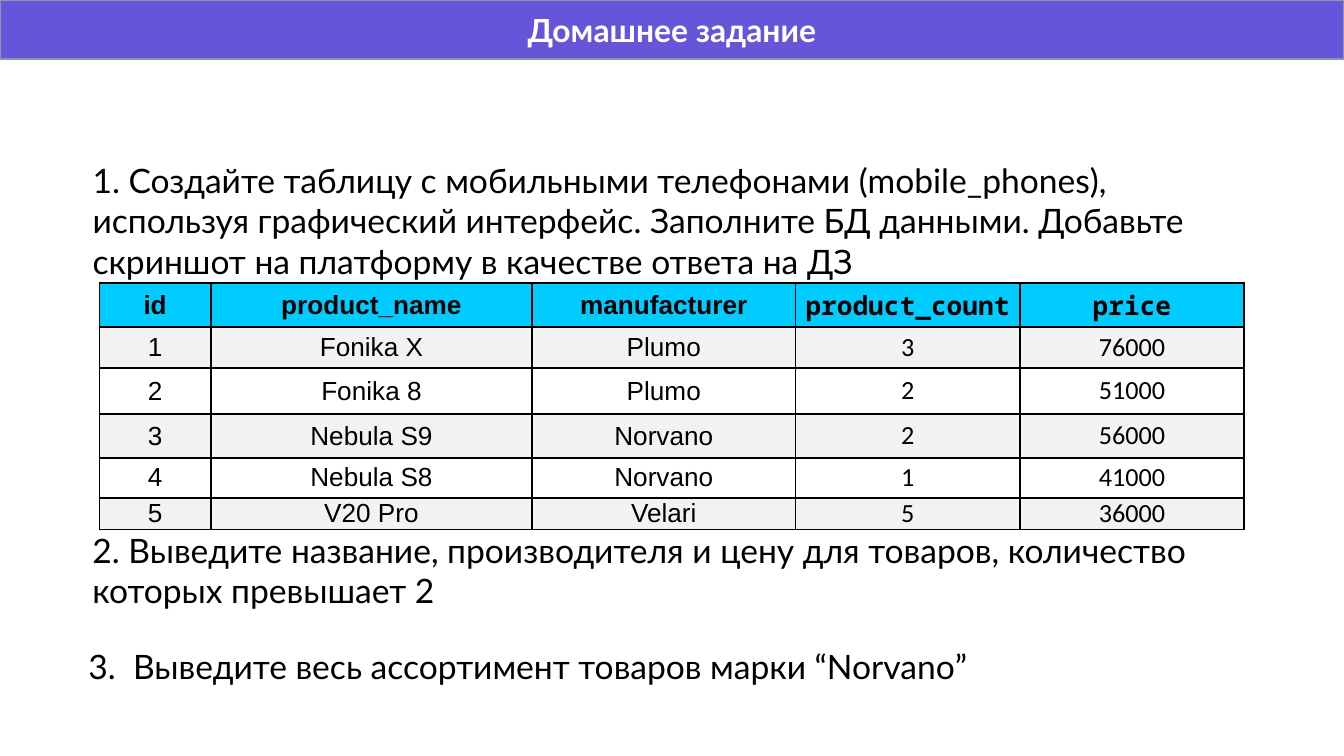
from dataclasses import dataclass

from lxml import etree
from pptx import Presentation
from pptx.dml.color import RGBColor
from pptx.enum.text import MSO_ANCHOR, MSO_AUTO_SIZE, PP_ALIGN
from pptx.oxml.ns import qn
from pptx.util import Pt

MIDDLE, TOP = MSO_ANCHOR.MIDDLE, MSO_ANCHOR.TOP
CENTER, LEFT = PP_ALIGN.CENTER, PP_ALIGN.LEFT
NO_FIT = MSO_AUTO_SIZE.NONE
TITLE_ONLY = 5


@dataclass(frozen=True)
class Theme:
    bar: str = "6654D9"
    edge: str = "8F93A3"
    head: str = "00CCFF"
    band: str = "F2F2F2"
    ink: str = "000000"
    white: str = "FFFFFF"
    title: float = 17
    body: float = 18
    cell: float = 14
    font: str = "Lato"
    sans: str = "Arial"
    mono: str = "Noto Sans Mono"
    digit: str = "Calibri"
    inset: float = 7.2
    rule: float = 1


THEME = Theme()

# Task texts: left, top, width, height, text
TASKS = [
    (42.5, 78.5, 639.4, 80,
     "1. Создайте таблицу с мобильными телефонами (mobile_phones), "
     "используя графический интерфейс. Заполните БД данными. "
     "Добавьте скриншот на платформу в качестве ответа на ДЗ"),
    (42.5, 276.5, 648, 58,
     "2. Выведите название, производителя и цену для товаров, "
     "количество которых превышает 2"),
    (40.3, 339.1, 639.4, 36,
     "3.  Выведите весь ассортимент товаров марки “Norvano”"),
]

PHONES = [
    ("id", "product_name", "manufacturer", "product_count", "price"),
    ("1", "Fonika X", "Plumo", "3", "76000"),
    ("2", "Fonika 8", "Plumo", "2", "51000"),
    ("3", "Nebula S9", "Norvano", "2", "56000"),
    ("4", "Nebula S8", "Norvano", "1", "41000"),
    ("5", "V20 Pro", "Velari", "5", "36000"),
]
COLS = [59.8, 172.1, 141.1, 120.2, 120.2]
ROWS = [23.6, 22, 24.6, 23.6, 21.4, 13.7]


def color(code):
    return RGBColor.from_string(code)


def write(frame, text, size, font, ink=THEME.ink, bold=False, align=LEFT):
    para = frame.paragraphs[0]
    para.alignment = align
    run = para.add_run()
    run.text = text
    run.font.size = Pt(size)
    run.font.name = font
    run.font.bold = bold
    run.font.color.rgb = color(ink)


def set_frame(frame, anchor):
    frame.word_wrap = True
    frame.auto_size = NO_FIT
    frame.vertical_anchor = anchor
    frame.margin_left = frame.margin_right = Pt(THEME.inset)
    frame.margin_top = frame.margin_bottom = Pt(THEME.inset)


def add_title(slide, text, width):
    bar = slide.shapes.title
    bar.left, bar.top, bar.width, bar.height = Pt(0), Pt(0), width, Pt(31.7)
    bar.fill.solid()
    bar.fill.fore_color.rgb = color(THEME.bar)
    bar.line.color.rgb = color(THEME.edge)
    bar.line.width = Pt(0.75)
    set_frame(bar.text_frame, MIDDLE)
    write(bar.text_frame, text, THEME.title, THEME.font, THEME.white,
          True, CENTER)


def add_task(slide, left, top, width, height, text):
    box = slide.shapes.add_textbox(Pt(left), Pt(top), Pt(width), Pt(height))
    set_frame(box.text_frame, TOP)
    write(box.text_frame, text, THEME.body, THEME.font)


def add_rules(cell):
    props = cell._tc.get_or_add_tcPr()
    for side in ("lnL", "lnR", "lnT", "lnB"):
        line = etree.SubElement(props, qn(f"a:{side}"), w=str(Pt(THEME.rule)))
        fill = etree.SubElement(line, qn("a:solidFill"))
        etree.SubElement(fill, qn("a:srgbClr"), val=THEME.ink)


def fill_cell(cell, text, row, col):
    head = row == 0
    cell.margin_left = cell.margin_right = Pt(0)
    cell.margin_top = cell.margin_bottom = Pt(0)
    cell.vertical_anchor = MIDDLE
    add_rules(cell)
    # Head colour, then every other row shaded
    if head or row % 2:
        cell.fill.solid()
        cell.fill.fore_color.rgb = color(THEME.head if head else THEME.band)
    else:
        cell.fill.background()
    font = THEME.sans
    if col > 2:
        font = THEME.mono if head else THEME.digit
    write(cell.text_frame, text, THEME.cell, font, bold=head, align=CENTER)


def add_grid(slide, left, top):
    frame = slide.shapes.add_table(len(ROWS), len(COLS), Pt(left), Pt(top),
                                   Pt(sum(COLS)), Pt(sum(ROWS)))
    table = frame.table
    table.first_row = table.horz_banding = False
    for col, width in zip(table.columns, COLS):
        col.width = Pt(width)
    for row, height in zip(table.rows, ROWS):
        row.height = Pt(height)
    for r, record in enumerate(PHONES):
        for c, text in enumerate(record):
            fill_cell(table.cell(r, c), text, r, c)


def main():
    deck = Presentation()
    deck.slide_width, deck.slide_height = Pt(720), Pt(405)
    slide = deck.slides.add_slide(deck.slide_layouts[TITLE_ONLY])

    # Title bar
    add_title(slide, "Домашнее задание", deck.slide_width)

    # Tasks
    for task in TASKS:
        add_task(slide, *task)

    # Phone table
    add_grid(slide, 53.2, 151.6)

    deck.save("out.pptx")


if __name__ == "__main__":
    main()
